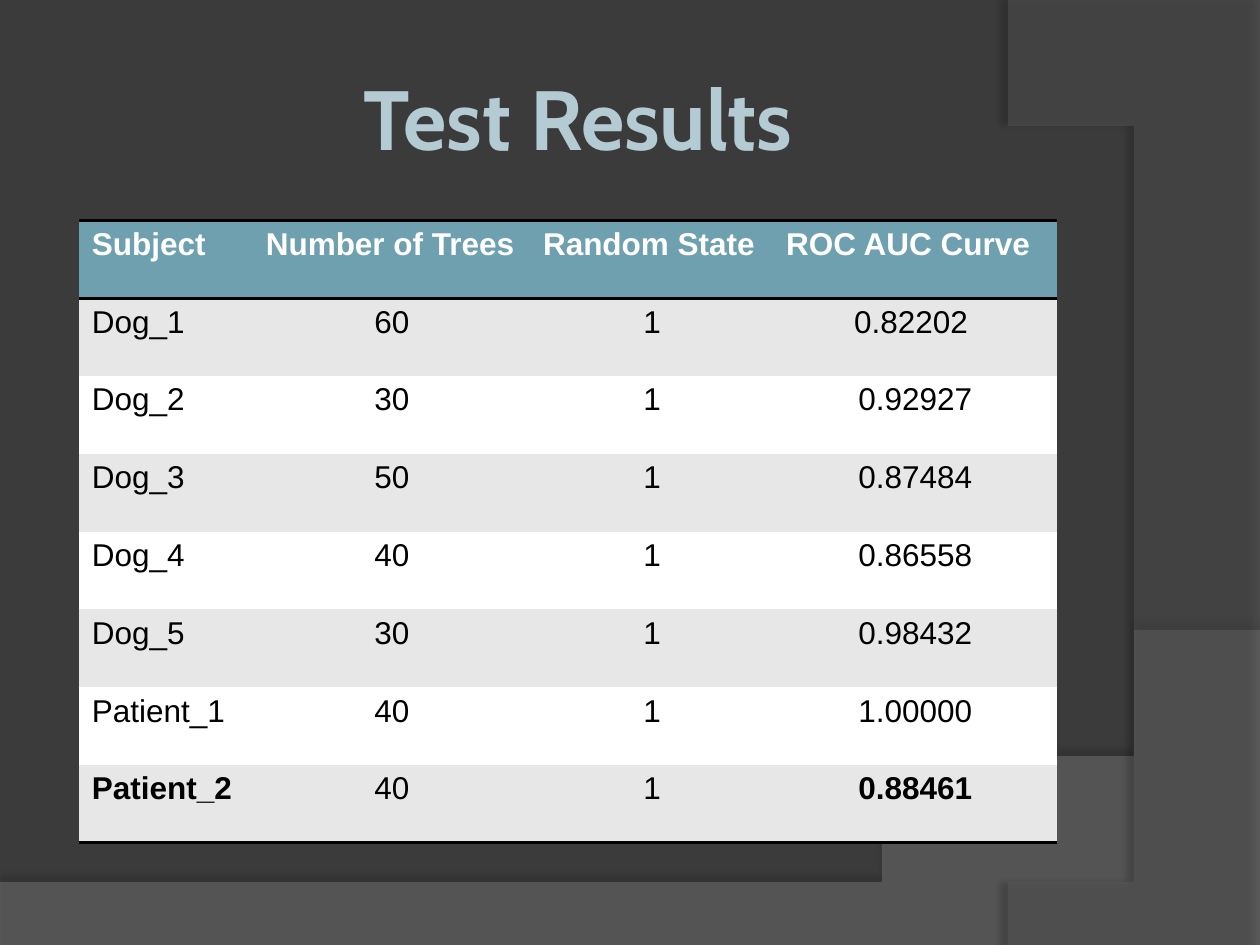
import pptx
import pptx.util
import pptx.dml.color
import pptx.enum.text
import pptx.oxml
import pptx.oxml.ns
from pptx.util import Inches

COLORS = {
    "background": "3B3B3B",
    "wave": "7F7F7F",
    "arc": "5E5E5E",
    "title": "B5CBD3",
    "header": "6EA0B0",
    "band": "E7E7E7",
    "white": "FFFFFF",
    "black": "000000",
}
HEADERS = ["Subject", "Number of Trees", "Random State", "ROC AUC Curve"]
RESULTS = [
    ["Dog_1", "60", "1", "0.82202 "],
    ["Dog_2", "30", "1", "0.92927"],
    ["Dog_3", "50", "1", "0.87484"],
    ["Dog_4", "40", "1", "0.86558"],
    ["Dog_5", "30", "1", "0.98432"],
    ["Patient_1", "40", "1", "1.00000"],
    ["Patient_2", "40", "1", "0.88461"],
]
COLUMN_WIDTHS = [1.38, 2.2, 1.93, 2.25]
BOLD_CELLS = {(7, 0), (7, 3)}
NS = pptx.oxml.ns.nsdecls("a")


def rgb(name):
    return pptx.dml.color.RGBColor.from_string(COLORS[name])


def bezier(p0, p1, p2, p3, steps=60):
    """Points along a cubic curve, without its start."""
    points = []
    for i in range(1, steps + 1):
        t = i / steps
        weights = ((1 - t) ** 3, 3 * t * (1 - t) ** 2, 3 * t * t * (1 - t), t ** 3)
        points.append(tuple(sum(w * p[axis] for w, p in zip(weights, (p0, p1, p2, p3)))
                            for axis in (0, 1)))
    return points


class Deck:
    """Holds the slide and its style."""
    body_font = "Arial"
    title_font = "Cabin"
    body_size = 18
    title_size = 48
    rule_width = 2

    def __init__(self, prs):
        self.slide = prs.slides.add_slide(prs.slide_layouts[6])
        fill = self.slide.background.fill
        fill.solid()
        fill.fore_color.rgb = rgb("background")

    def swoosh(self, points, color, alpha, shadow_alpha, distance, direction):
        """Translucent outline with a soft shadow."""
        builder = self.slide.shapes.build_freeform(*points[0], scale=Inches(1))
        builder.add_line_segments(points[1:], close=True)
        sp = builder.convert_to_shape()
        sp.line.fill.background()
        sp.fill.solid()
        sp.fill.fore_color.rgb = rgb(color)
        srgb = sp.fill._xPr.find(".//" + pptx.oxml.ns.qn("a:srgbClr"))
        srgb.append(pptx.oxml.parse_xml(f'<a:alpha {NS} val="{alpha * 1000}"/>'))
        sp._element.spPr.append(pptx.oxml.parse_xml(
            f'<a:effectLst {NS}><a:outerShdw blurRad="{pptx.util.Pt(4)}" '
            f'dist="{pptx.util.Pt(distance)}" dir="{direction * 60000}" rotWithShape="0">'
            f'<a:srgbClr val="{COLORS["black"]}"><a:alpha val="{shadow_alpha * 1000}"/>'
            '</a:srgbClr></a:outerShdw></a:effectLst>'))

    def title(self, text, left, top, width, height):
        sp = self.slide.shapes.add_textbox(Inches(left), Inches(top),
                                           Inches(width), Inches(height))
        tf = sp.text_frame
        tf.word_wrap = True
        tf.vertical_anchor = pptx.enum.text.MSO_ANCHOR.MIDDLE
        tf.margin_left = tf.margin_right = Inches(0.05)
        p = tf.paragraphs[0]
        p.text = text
        p.alignment = pptx.enum.text.PP_ALIGN.CENTER
        self.style(p, self.title_font, self.title_size, "title", True)

    def style(self, p, font, size, color, bold):
        p.font.name = font
        p.font.size = pptx.util.Pt(size)
        p.font.bold = bold
        p.font.color.rgb = rgb(color)

    def borders(self, cell, ruled):
        """Black rules on the given sides, no line on the others."""
        tcPr = cell._tc.get_or_add_tcPr()
        for side in "LRTB":
            if side in ruled:
                fill = f'<a:solidFill><a:srgbClr val="{COLORS["black"]}"/></a:solidFill>'
            else:
                fill = "<a:noFill/>"
            tcPr.append(pptx.oxml.parse_xml(
                f'<a:ln{side} {NS} w="{pptx.util.Pt(self.rule_width)}">{fill}</a:ln{side}>'))

    def table(self, rows, widths, left, top, height):
        frame = self.slide.shapes.add_table(
            len(rows), len(widths), Inches(left), Inches(top),
            Inches(sum(widths)), Inches(height))
        table = frame.table
        table.horz_banding = False
        for column, width in zip(table.columns, widths):
            column.width = Inches(width)
        last = len(rows) - 1
        for r, values in enumerate(rows):
            header = r == 0
            fill = "header" if header else "band" if r % 2 else "white"
            # Rules frame the header and close the table; row 1 shares the header's rule
            ruled = {0: "TB", 1: "T", last: "B"}.get(r, "")
            for c, value in enumerate(values):
                cell = table.cell(r, c)
                self.borders(cell, ruled)
                cell.fill.solid()
                cell.fill.fore_color.rgb = rgb(fill)
                p = cell.text_frame.paragraphs[0]
                p.text = value
                if c and not header:
                    p.alignment = pptx.enum.text.PP_ALIGN.CENTER
                self.style(p, self.body_font, self.body_size,
                           "white" if header else "black",
                           header or (r, c) in BOLD_CELLS)


def main():
    prs = pptx.Presentation()
    prs.slide_width, prs.slide_height = Inches(10), Inches(7.5)
    deck = Deck(prs)

    # Background curves
    wave = [(0, 7.05), (0, 7.51), (10, 7.51), (10, 5.2)]
    wave += bezier((10, 5.2), (5.59, 7.29), (3.91, 7.19), (0, 7.05))[:-1]
    deck.swoosh(wave, "wave", 45, 35, 3.5, 270)
    arc = [(10, 0.02), (10, 7.5), (8.21, 7.5)]
    arc += bezier((8.21, 7.5), (9.35, 6.19), (10.18, 3), (8, 0))
    deck.swoosh(arc, "arc", 40, 45, 4, 180)

    # Title and results
    deck.title("Test Results", 0.5, 0.3, 8.17, 1.25)
    deck.table([HEADERS] + RESULTS, COLUMN_WIDTHS, 0.63, 1.75, 4.94)

    prs.save("out.pptx")


if __name__ == "__main__":
    main()
